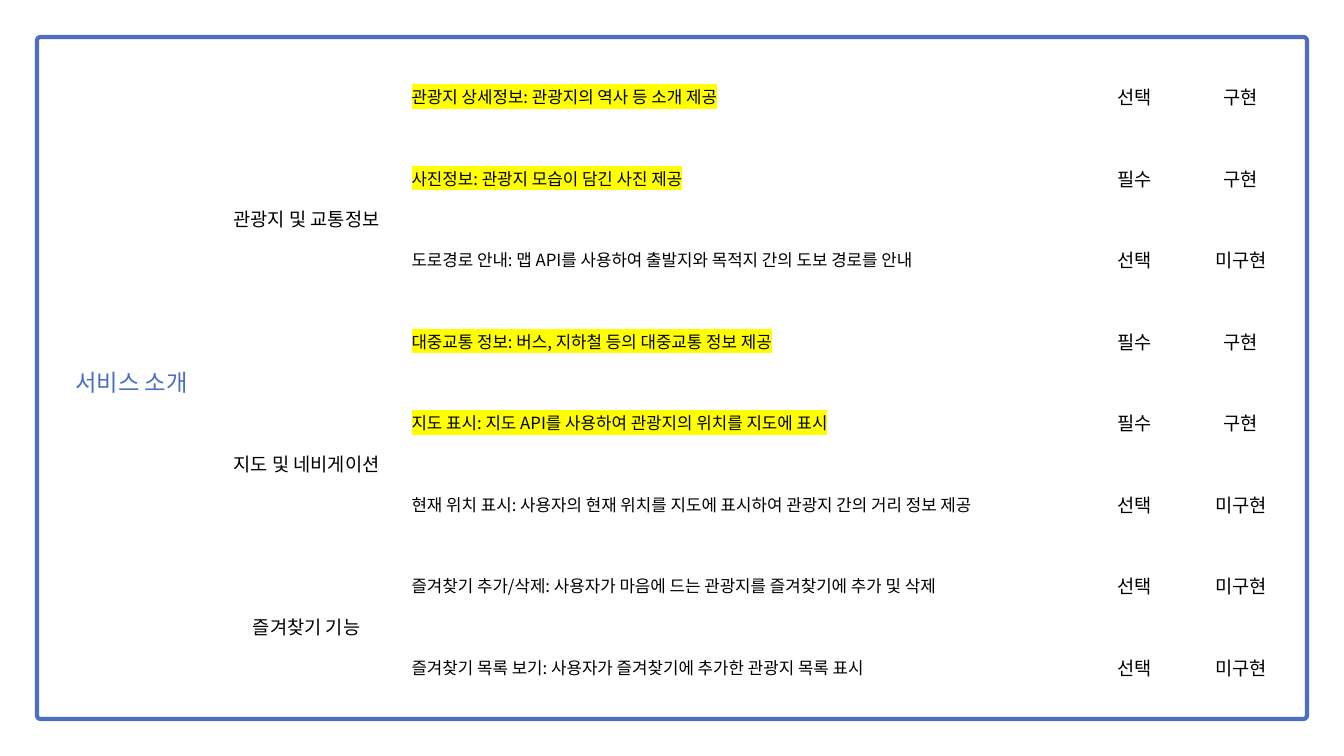
from lxml.etree import SubElement
from pptx import Presentation
from pptx.dml.color import RGBColor
from pptx.enum.shapes import MSO_SHAPE
from pptx.enum.text import MSO_ANCHOR, PP_ALIGN
from pptx.oxml.ns import qn
from pptx.util import Cm, Pt

FONT = "Noto Sans CJK KR"
HUES = {"blue": "4C6FBF", "ink": "000000", "mark": "FFFF00", "page": "FFFFFF"}
PLAIN = "{2D5ABB26-0587-4C30-8999-92F81FD0307C}"
COLS = [5.82, 7.42, 25.4, 4.39, 3.63]
ROW = 3.08
TITLE = "서비스 소개"
GROUPS = [
    ("관광지 및 교통정보", [
        ("관광지 상세정보: 관광지의 역사 등 소개 제공", "선택", "구현"),
        ("사진정보: 관광지 모습이 담긴 사진 제공", "필수", "구현"),
        ("도로경로 안내: 맵 API를 사용하여 출발지와 목적지 간의 도보 경로를 안내", "선택", "미구현"),
        ("대중교통 정보: 버스, 지하철 등의 대중교통 정보 제공", "필수", "구현"),
    ]),
    ("지도 및 네비게이션", [
        ("지도 표시: 지도 API를 사용하여 관광지의 위치를 지도에 표시", "필수", "구현"),
        ("현재 위치 표시: 사용자의 현재 위치를 지도에 표시하여 관광지 간의 거리 정보 제공", "선택", "미구현"),
    ]),
    ("즐겨찾기 기능", [
        ("즐겨찾기 추가/삭제: 사용자가 마음에 드는 관광지를 즐겨찾기에 추가 및 삭제", "선택", "미구현"),
        ("즐겨찾기 목록 보기: 사용자가 즐겨찾기에 추가한 관광지 목록 표시", "선택", "미구현"),
    ]),
]


def tint(name):
    """Return the named colour."""
    return RGBColor.from_string(HUES[name])


def write(cell, text, size=20, hue="ink", align=PP_ALIGN.CENTER, mark=False):
    """Put formatted text in a table cell."""
    cell.vertical_anchor = MSO_ANCHOR.MIDDLE
    para = cell.text_frame.paragraphs[0]
    para.alignment = align
    run = para.add_run()
    run.text = text
    run.font.size = Pt(size)
    run.font.color.rgb = tint(hue)
    props = run.font._element
    if mark:
        light = SubElement(props, qn("a:highlight"))
        SubElement(light, qn("a:srgbClr"), val=HUES["mark"])
    run.font.name = FONT
    SubElement(props, qn("a:ea"), typeface=FONT)


def add_panel(slide, left, top, width, height):
    """Draw the outlined panel behind the table."""
    panel = slide.shapes.add_shape(
        MSO_SHAPE.ROUNDED_RECTANGLE, Cm(left), Cm(top), Cm(width), Cm(height))
    panel.adjustments[0] = 0.13 / height
    panel.shadow.inherit = False
    panel.fill.solid()
    panel.fill.fore_color.rgb = tint("page")
    panel.line.color.rgb = tint("blue")
    panel.line.width = Pt(4.5)


def add_grid(slide, left, top):
    """Build the feature table with one merged cell per group."""
    count = sum(len(items) for _, items in GROUPS)
    frame = slide.shapes.add_table(
        count, len(COLS), Cm(left), Cm(top), Cm(sum(COLS)), Cm(ROW * count))
    grid = frame.table
    grid.first_row = grid.horz_banding = False
    grid._tbl.tblPr.find(qn("a:tableStyleId")).text = PLAIN
    for col, width in zip(grid.columns, COLS):
        col.width = Cm(width)
    for row in grid.rows:
        row.height = Cm(ROW)
        for cell in row.cells:
            cell.fill.background()

    grid.cell(0, 0).merge(grid.cell(count - 1, 0))
    write(grid.cell(0, 0), TITLE, size=25, hue="blue")
    start = 0
    for name, items in GROUPS:
        grid.cell(start, 1).merge(grid.cell(start + len(items) - 1, 1))
        write(grid.cell(start, 1), name)
        for row, (text, need, state) in enumerate(items, start):
            write(grid.cell(row, 2), text, size=18, align=PP_ALIGN.LEFT,
                  mark=state == "구현")
            write(grid.cell(row, 3), need)
            write(grid.cell(row, 4), state)
        start += len(items)


def add_intro(slide, left, top, width, height):
    """Place the panel and its table in the given box."""
    add_panel(slide, left, top, width, height)
    add_grid(slide, left + 0.66, top + 0.71)


def main():
    """Build and save the slide."""
    deck = Presentation()
    deck.slide_width, deck.slide_height = Cm(50.8), Cm(28.58)
    slide = deck.slides.add_slide(deck.slide_layouts[6])
    add_intro(slide, 1.4, 1.4, 48, 25.78)
    deck.save("out.pptx")


if __name__ == "__main__":
    main()
